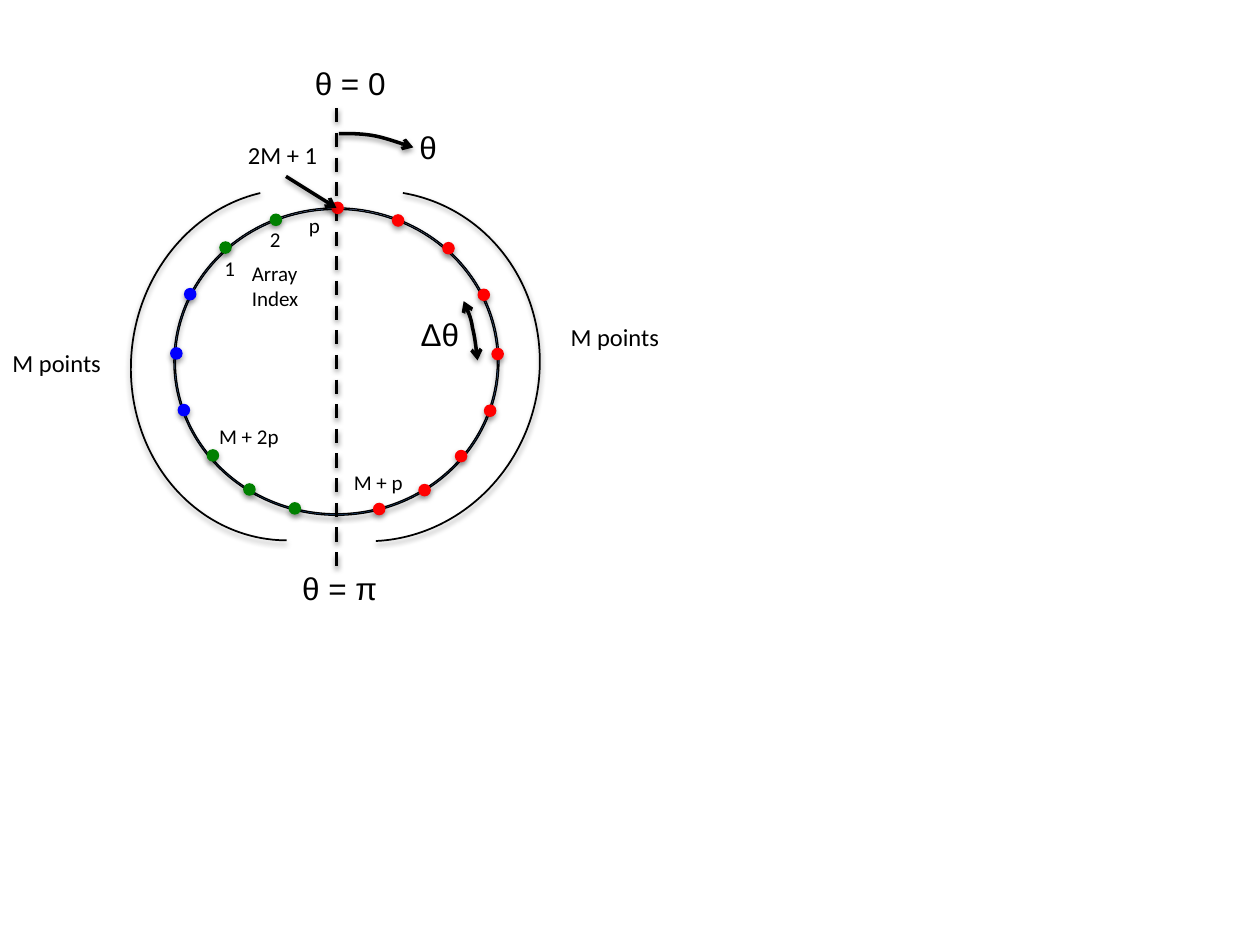
from lxml import etree
from pptx import Presentation
from pptx.dml.color import RGBColor
from pptx.enum.dml import MSO_LINE
from pptx.enum.shapes import MSO_CONNECTOR, MSO_SHAPE
from pptx.enum.text import MSO_AUTO_SIZE
from pptx.oxml.ns import qn
from pptx.util import Inches, Pt

ARC, DONUT, OVAL = MSO_SHAPE.ARC, MSO_SHAPE.DONUT, MSO_SHAPE.OVAL
STRAIGHT = MSO_CONNECTOR.STRAIGHT
DASH = MSO_LINE.DASH
GROW = MSO_AUTO_SIZE.SHAPE_TO_FIT_TEXT
BLACK, RED, GREEN, BLUE = "000000", "FF0000", "008000", "0000FF"
COLS, ROWS = 100, 75


def rgb(value):
    return RGBColor.from_string(value)


def bezier(a, b, c, d, steps=8):
    for i in range(1, steps + 1):
        t = i / steps
        u = 1 - t
        yield tuple(u**3 * p + 3 * u * u * t * q + 3 * u * t * t * r + t**3 * s
                    for p, q, r, s in zip(a, b, c, d))


class Diagram:
    def __init__(self, prs):
        self.slide = prs.slides.add_slide(prs.slide_layouts[6])
        self.shapes = self.slide.shapes
        self.col = prs.slide_width / COLS
        self.row = prs.slide_height / ROWS

    def xy(self, x, y):
        return round(x * self.col), round(y * self.row)

    def box(self, x, y, w, h):
        return self.xy(x, y) + self.xy(w, h)

    def shadow(self, sp, alpha=38, dist=1.6):
        spPr = sp._element.spPr
        effects = spPr.find(qn("a:effectLst"))
        if effects is None:
            effects = etree.SubElement(spPr, qn("a:effectLst"))
        outer = etree.SubElement(effects, qn("a:outerShdw"), blurRad=str(Pt(3.1)),
                                 dist=str(Pt(dist)), dir="5400000", rotWithShape="0")
        color = etree.SubElement(outer, qn("a:srgbClr"), val=BLACK)
        etree.SubElement(color, qn("a:alpha"), val=str(alpha * 1000))

    def stroke(self, sp, width, ends=()):
        sp.line.color.rgb = rgb(BLACK)
        sp.line.width = Pt(width)
        ln = sp.line._get_or_add_ln()
        for end in ends:
            etree.SubElement(ln, qn("a:" + end), type="arrow")

    def ring(self, x, y, w, h):
        sp = self.shapes.add_shape(DONUT, *self.box(x, y, w, h))
        sp.adjustments[0] = 0.005
        sp.fill.gradient()
        sp.fill.gradient_angle = 90
        for stop, color in zip(sp.fill.gradient_stops, ("3F80CE", "A4C4FF")):
            stop.color.rgb = rgb(color)
        self.stroke(sp, 0.75)
        self.shadow(sp, 35, 1.8)

    def dot(self, x, y, color, shapes=None):
        sp = (shapes or self.shapes).add_shape(OVAL, *self.box(x, y, 1, 1))
        sp.fill.solid()
        sp.fill.fore_color.rgb = rgb(color)
        sp.line.fill.background()
        self.shadow(sp, 35, 1.8)

    def line(self, start, end, dash=None, ends=()):
        sp = self.shapes.add_connector(STRAIGHT, *self.xy(*start), *self.xy(*end))
        self.stroke(sp, 2)
        if dash:
            sp.line.dash_style = dash
        for end_name in ends:
            etree.SubElement(sp.line._get_or_add_ln(), qn("a:" + end_name), type="arrow")
        self.shadow(sp)

    def arc(self, x, y, w, h, rotation):
        sp = self.shapes.add_shape(ARC, *self.box(x, y, w, h))
        sp.adjustments[0], sp.adjustments[1] = 159.076, 44.358
        sp.rotation = rotation
        sp.fill.background()
        self.stroke(sp, 1)
        self.shadow(sp)

    def curve(self, points, ends):
        builder = self.shapes.build_freeform(*self.xy(*points[0]))
        path = [p for i in range(0, len(points) - 1, 3) for p in bezier(*points[i:i + 4])]
        builder.add_line_segments([self.xy(*p) for p in path], close=False)
        sp = builder.convert_to_shape()
        sp.fill.background()
        self.stroke(sp, 2, ends)
        self.shadow(sp)

    def text(self, x, y, w, h, words, size, font="Calibri"):
        tf = self.shapes.add_textbox(*self.box(x, y, w, h)).text_frame
        tf.word_wrap = True
        tf.auto_size = GROW
        r = tf.paragraphs[0].add_run()
        r.text = words
        r.font.size = Pt(size)
        r.font.name = font
        r.font.color.rgb = rgb(BLACK)


prs = Presentation()
prs.slide_width, prs.slide_height = Inches(10), Inches(7.5)
d = Diagram(prs)

d.ring(13.8, 16.5, 25.8, 24.4)
d.line((26.7, 8.6), (26.7, 45.3), dash=DASH)

side_dots = [(31.1, 17, GREEN), (35.1, 19.2, GREEN), (37.9, 22.9, BLUE),
             (39, 27.6, BLUE), (38.4, 32.1, BLUE), (36.1, 35.7, GREEN),
             (33.2, 38.4, GREEN), (29.6, 39.9, GREEN)]
MIRROR = 52.5
d.dot(26.3, 16, RED)
for x, y, _ in side_dots:
    d.dot(x, y, RED)
left_dots = d.shapes.add_group_shape()
for x, y, color in side_dots:
    d.dot(MIRROR - x, y - 0.05, color, left_dots.shapes)

d.arc(16.3, 15.1, 26.5, 27.9, 14.9)
d.arc(10.4, 15, 25.3, 27.9, 186.1)

d.curve([(26.9, 10.6), (27.9, 10.6), (28.8, 10.6), (29.8, 10.8),
         (30.8, 11), (31.8, 11.4), (32.8, 11.7)], ["tailEnd"])
d.line((22.7, 14), (26.7, 16.5), ends=["tailEnd"])
d.curve([(36.8, 23.9), (37.1, 24.6), (37.4, 25.2), (37.5, 26),
         (37.7, 26.8), (37.8, 27.7), (37.9, 28.6)], ["headEnd", "tailEnd"])

for x, y, words in [(24, 4.6, "θ = 0"), (23, 44.7, "θ = π"),
                    (32.3, 9.7, "θ"), (32.4, 24.5, "Δθ")]:
    d.text(x, y, 8.4, 4, words, 18, "Arial")
for x, y, w, words in [(44.3, 25.1, 11.8, "M points"), (0, 27.1, 11.8, "M points"),
                       (18.7, 10.6, 8, "2M + 1")]:
    d.text(x, y, w, 3.4, words, 14)
for x, y, w, h, words in [(17.3, 19.8, 1.5, 3, "1"), (20.9, 17.5, 1.5, 3, "2"),
                          (24, 16.4, 1.5, 3, "p"), (16.4, 33.1, 7.9, 3, "M + 2p"),
                          (19, 20.2, 9.2, 5, "Array Index"),
                          (27.1, 36.8, 7.9, 3, "M + p")]:
    d.text(x, y, w, h, words, 12)

prs.save("out.pptx")
